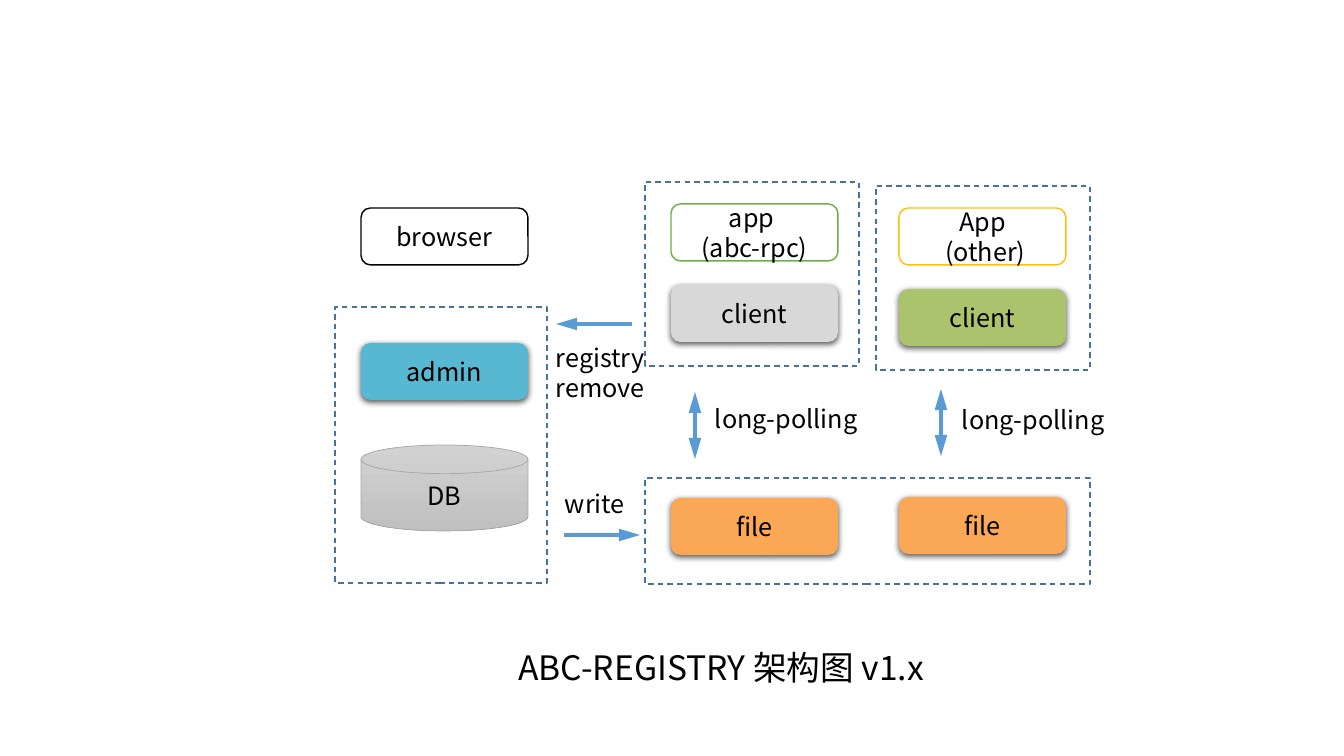
from lxml.etree import SubElement
from pptx import Presentation
from pptx.dml.color import RGBColor
from pptx.enum.dml import MSO_LINE
from pptx.enum.shapes import MSO_CONNECTOR, MSO_SHAPE
from pptx.enum.text import MSO_ANCHOR, MSO_AUTO_SIZE, PP_ALIGN
from pptx.oxml.ns import qn
from pptx.util import Pt

PIXEL = 914400 / 100.8
FONT = "Noto Sans CJK SC"
BLACK = RGBColor(0x00, 0x00, 0x00)
WHITE = RGBColor(0xFF, 0xFF, 0xFF)
FRAME_BLUE = RGBColor(0x43, 0x73, 0x9E)
ARROW_BLUE = RGBColor(0x5B, 0x9B, 0xD5)
ADMIN_BLUE = RGBColor(0x58, 0xB8, 0xD1)
FILE_ORANGE = RGBColor(0xFA, 0xA7, 0x56)
CLIENT_GRAY = RGBColor(0xD8, 0xD8, 0xD8)
CLIENT_GREEN = RGBColor(0xAB, 0xC3, 0x6C)
APP_GREEN = RGBColor(0x70, 0xAD, 0x47)
APP_YELLOW = RGBColor(0xFF, 0xC0, 0x00)
DISK_TOP = RGBColor(0xD2, 0xD2, 0xD2)
DISK_BOTTOM = RGBColor(0xC0, 0xC0, 0xC0)
DISK_LINE = RGBColor(0xA5, 0xA5, 0xA5)

LEFT, MIDDLE, RIGHT = 361, 671, 899
BOX_WIDTH, BOX_HEIGHT = 167, 57


def emu(*pixels):
    """Turn pixel lengths into whole EMU."""
    return [round(pixel * PIXEL) for pixel in pixels]


def write(shape, lines, size=18, alignment=PP_ALIGN.CENTER):
    """Put one paragraph per line into the shape."""
    frame = shape.text_frame
    for index, line in enumerate(lines):
        paragraph = frame.add_paragraph() if index else frame.paragraphs[0]
        paragraph.alignment = alignment
        run = paragraph.add_run()
        run.text = line
        run.font.size = Pt(size)
        run.font.color.rgb = BLACK
        run.font.name = FONT
        SubElement(run.font._element, qn("a:ea"), typeface=FONT)


presentation = Presentation()
presentation.slide_width, presentation.slide_height = emu(1344, 756)
slide = presentation.slides.add_slide(presentation.slide_layouts[6])
shapes = slide.shapes

# Dashed group frames
for left, top, width, height in [
    (335, 307, 212, 276),
    (645, 182, 214, 184),
    (876, 186, 214, 184),
    (645, 478, 445, 106),
]:
    shape = shapes.add_shape(MSO_SHAPE.RECTANGLE, *emu(left, top, width, height))
    shape.shadow.inherit = False
    shape.fill.background()
    shape.line.color.rgb = FRAME_BLUE
    shape.line.width = Pt(1)
    shape.line.dash_style = MSO_LINE.DASH

# Component boxes: outlined when they have a line colour, shadowed otherwise
PROCESS = MSO_SHAPE.FLOWCHART_ALTERNATE_PROCESS
for kind, left, top, lines, fill, outline in [
    (PROCESS, LEFT, 208, ["browser"], WHITE, BLACK),
    (PROCESS, MIDDLE, 204, ["app ", "(abc-rpc)"], WHITE, APP_GREEN),
    (PROCESS, RIGHT, 208, ["App", " (other)"], WHITE, APP_YELLOW),
    (PROCESS, MIDDLE, 285, ["client"], CLIENT_GRAY, None),
    (PROCESS, RIGHT, 289, ["client"], CLIENT_GREEN, None),
    (MSO_SHAPE.ROUNDED_RECTANGLE, LEFT, 343, ["admin"], ADMIN_BLUE, None),
    (PROCESS, MIDDLE, 498, ["file"], FILE_ORANGE, None),
    (PROCESS, RIGHT, 497, ["file"], FILE_ORANGE, None),
]:
    shape = shapes.add_shape(kind, *emu(left, top, BOX_WIDTH, BOX_HEIGHT))
    shape.shadow.inherit = False
    shape.fill.solid()
    shape.fill.fore_color.rgb = fill
    if outline is not None:
        shape.line.color.rgb = outline
        shape.line.width = Pt(1)
    else:
        shape.line.fill.background()
        effects = shape._element.spPr.find(qn("a:effectLst"))
        shadow = SubElement(effects, qn("a:outerShdw"), blurRad=str(Pt(4.5)),
                            dist=str(Pt(1.5)), dir="5400000", rotWithShape="0")
        color = SubElement(shadow, qn("a:srgbClr"), val=str(BLACK))
        SubElement(color, qn("a:alpha"), val="63000")
    shape.text_frame.vertical_anchor = MSO_ANCHOR.MIDDLE
    write(shape, lines)

# Database
disk = shapes.add_shape(MSO_SHAPE.FLOWCHART_MAGNETIC_DISK, *emu(LEFT, 445, BOX_WIDTH, 86))
disk.shadow.inherit = False
disk.fill.gradient()
disk.fill.gradient_angle = 270
for stop, color in zip(disk.fill.gradient_stops, [DISK_TOP, DISK_BOTTOM]):
    stop.color.rgb = color
disk.line.color.rgb = DISK_LINE
disk.line.width = Pt(0.5)
disk.text_frame.vertical_anchor = MSO_ANCHOR.MIDDLE
write(disk, ["DB"])

# Arrows
for start_x, start_y, end_x, end_y, ends in [
    (632, 324, 556, 324, ["tailEnd"]),
    (564, 535, 640, 535, ["tailEnd"]),
    (695, 392, 695, 459, ["headEnd", "tailEnd"]),
    (941, 389, 941, 456, ["headEnd", "tailEnd"]),
]:
    arrow = shapes.add_connector(MSO_CONNECTOR.STRAIGHT, *emu(start_x, start_y, end_x, end_y))
    arrow.line.color.rgb = ARROW_BLUE
    arrow.line.width = Pt(3)
    for end in ends:
        SubElement(arrow.line._get_or_add_ln(), qn(f"a:{end}"),
                   type="triangle", w="med", len="lg")
    SubElement(arrow._element.spPr, qn("a:effectLst"))

# Labels and title
for left, top, width, height, lines, size, alignment in [
    (546, 337, 113, 71, ["registry", "remove"], 18, PP_ALIGN.LEFT),
    (555, 483, 81, 40, ["write"], 18, PP_ALIGN.LEFT),
    (705, 398, 171, 40, ["long-polling"], 18, PP_ALIGN.LEFT),
    (952, 399, 171, 40, ["long-polling"], 18, PP_ALIGN.LEFT),
    (502, 642, 438, 50, ["ABC-REGISTRY 架构图 v1.x"], 24, PP_ALIGN.CENTER),
]:
    label = shapes.add_textbox(*emu(left, top, width, height))
    label.text_frame.word_wrap = False
    label.text_frame.auto_size = MSO_AUTO_SIZE.SHAPE_TO_FIT_TEXT
    write(label, lines, size, alignment)

presentation.save("out.pptx")
